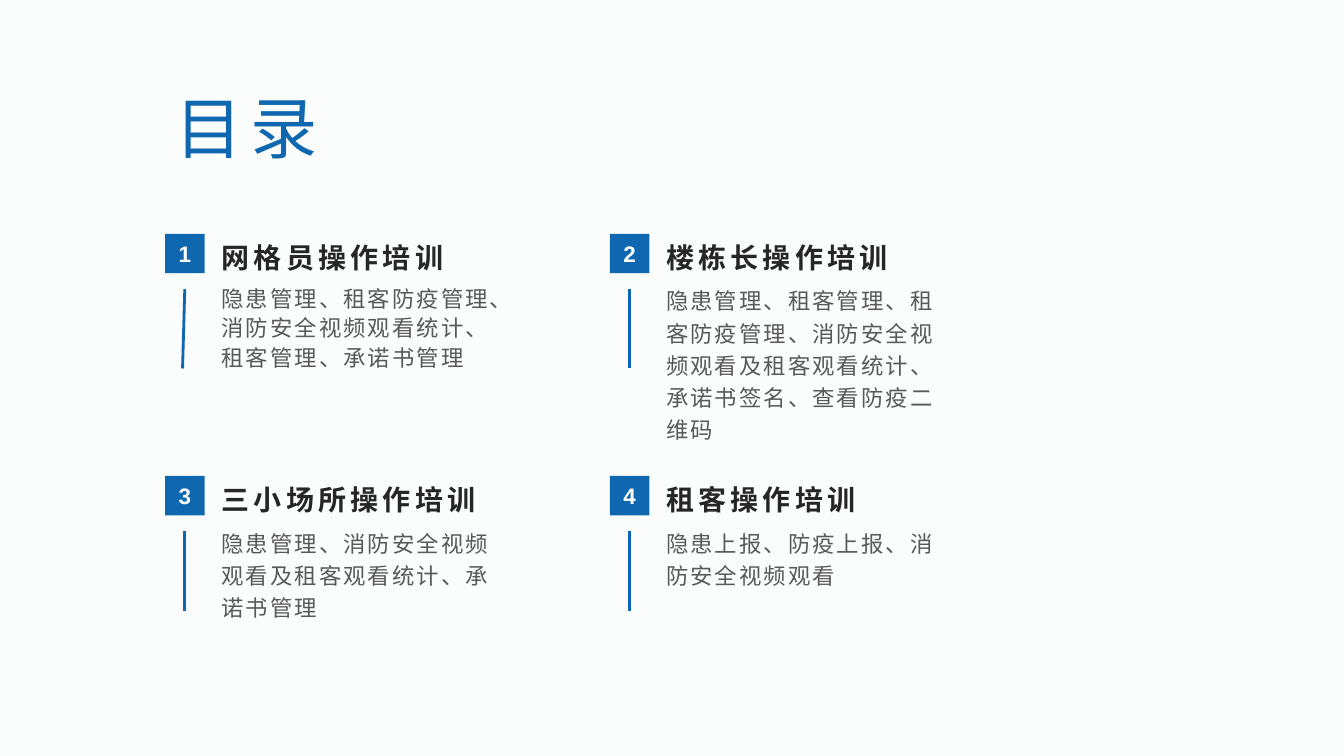
from dataclasses import dataclass

from lxml.etree import SubElement
from pptx import Presentation
from pptx.dml.color import RGBColor
from pptx.enum.lang import MSO_LANGUAGE_ID
from pptx.enum.shapes import MSO_CONNECTOR, MSO_SHAPE
from pptx.enum.text import MSO_ANCHOR, PP_ALIGN
from pptx.oxml.ns import qn
from pptx.util import Pt


@dataclass(frozen=True)
class Theme:
    font: str = "Arial"
    background: RGBColor = RGBColor(0xFB, 0xFC, 0xFC)
    accent: RGBColor = RGBColor(0x0F, 0x67, 0xAF)
    heading: RGBColor = RGBColor(0x26, 0x26, 0x26)
    body: RGBColor = RGBColor(0x59, 0x59, 0x59)
    on_accent: RGBColor = RGBColor(0xFF, 0xFF, 0xFF)
    title_size: int = 48
    heading_size: int = 20
    body_size: int = 16


class SlideBuilder:
    def __init__(self, slide, theme):
        self.slide = slide
        self.theme = theme
        slide.background.fill.solid()
        slide.background.fill.fore_color.rgb = theme.background

    def fill_text(self, shape, text, size, color, bold=False, spacing=0,
                  insets=(7.2, 3.6, 7.2, 3.6), anchor=MSO_ANCHOR.MIDDLE,
                  align=PP_ALIGN.LEFT, line_spacing=1.0):
        """Give a shape one paragraph; spacing is points between letters."""
        frame = shape.text_frame
        left, top, right, bottom = map(Pt, insets)
        frame_format = {"word_wrap": True, "vertical_anchor": anchor,
                        "margin_left": left, "margin_top": top,
                        "margin_right": right, "margin_bottom": bottom}
        for name, value in frame_format.items():
            setattr(frame, name, value)

        paragraph = frame.paragraphs[0]
        paragraph.alignment = align
        paragraph.line_spacing = line_spacing
        run = paragraph.add_run()
        run.text = text
        run_format = {"name": self.theme.font, "size": Pt(size), "bold": bold,
                      "language_id": MSO_LANGUAGE_ID.SIMPLIFIED_CHINESE}
        for name, value in run_format.items():
            setattr(run.font, name, value)
        run.font.color.rgb = color
        if spacing:
            run.font._element.set("spc", str(int(spacing * 100)))

    def text(self, box, text, size, color, **style):
        shape = self.slide.shapes.add_textbox(*map(Pt, box))
        self.fill_text(shape, text, size, color, **style)

    def badge(self, left, top, side, label):
        square = self.slide.shapes.add_shape(
            MSO_SHAPE.RECTANGLE, *map(Pt, (left, top, side, side)))
        square.shadow.inherit = False
        square.fill.solid()
        square.fill.fore_color.rgb = self.theme.accent
        square.line.fill.background()
        self.fill_text(square, label, self.theme.body_size,
                       self.theme.on_accent, bold=True, insets=(3.6,) * 4,
                       align=PP_ALIGN.CENTER)

    def rule(self, *ends):
        line = self.slide.shapes.add_connector(
            MSO_CONNECTOR.STRAIGHT, *map(Pt, ends))
        line.line.color.rgb = self.theme.accent
        line.line.width = Pt(2)
        SubElement(line._element.spPr, qn("a:effectLst"))

    def entry(self, left, top, number, heading, body, line_spacing=1.2, slant=0):
        """Numbered contents entry; slant shifts the lower end of its rule."""
        theme = self.theme
        rule_x, rule_top = left + 14, top + 39.6
        self.rule(rule_x, rule_top, rule_x - slant, rule_top + 56.6)
        self.badge(left, top, 28.2, str(number))
        self.text((left + 33.2, top - 0.8, 213, 32), heading,
                  theme.heading_size, theme.heading, bold=True, spacing=3,
                  insets=(7.2, 3.6, 7.2, 0))
        self.text((left + 33.2, top + 31, 213, 100.8), body,
                  theme.body_size, theme.body, spacing=1.5,
                  anchor=MSO_ANCHOR.TOP, line_spacing=line_spacing)


ENTRIES = [
    ("网格员操作培训",
     "隐患管理、租客防疫管理、消防安全视频观看统计、租客管理、承诺书管理",
     {"line_spacing": 1.1, "slant": 1.6}),
    ("楼栋长操作培训",
     "隐患管理、租客管理、租客防疫管理、消防安全视频观看及租客观看统计、"
     "承诺书签名、查看防疫二维码", {}),
    ("三小场所操作培训",
     "隐患管理、消防安全视频观看及租客观看统计、承诺书管理", {}),
    ("租客操作培训", "隐患上报、防疫上报、消防安全视频观看", {}),
]
GRID_LEFT, GRID_TOP = 118, 167
COLUMN_PITCH, ROW_PITCH = 317.6, 173


def main():
    presentation = Presentation()
    presentation.slide_width, presentation.slide_height = Pt(960), Pt(540)
    theme = Theme()
    contents = SlideBuilder(
        presentation.slides.add_slide(presentation.slide_layouts[6]), theme)

    contents.text((GRID_LEFT, 54.8, 333.4, 71.2), "目录",
                  theme.title_size, theme.accent, spacing=6)
    for index, (heading, body, options) in enumerate(ENTRIES):
        row, column = divmod(index, 2)
        contents.entry(GRID_LEFT + column * COLUMN_PITCH,
                       GRID_TOP + row * ROW_PITCH,
                       index + 1, heading, body, **options)
    presentation.save("out.pptx")


if __name__ == "__main__":
    main()
